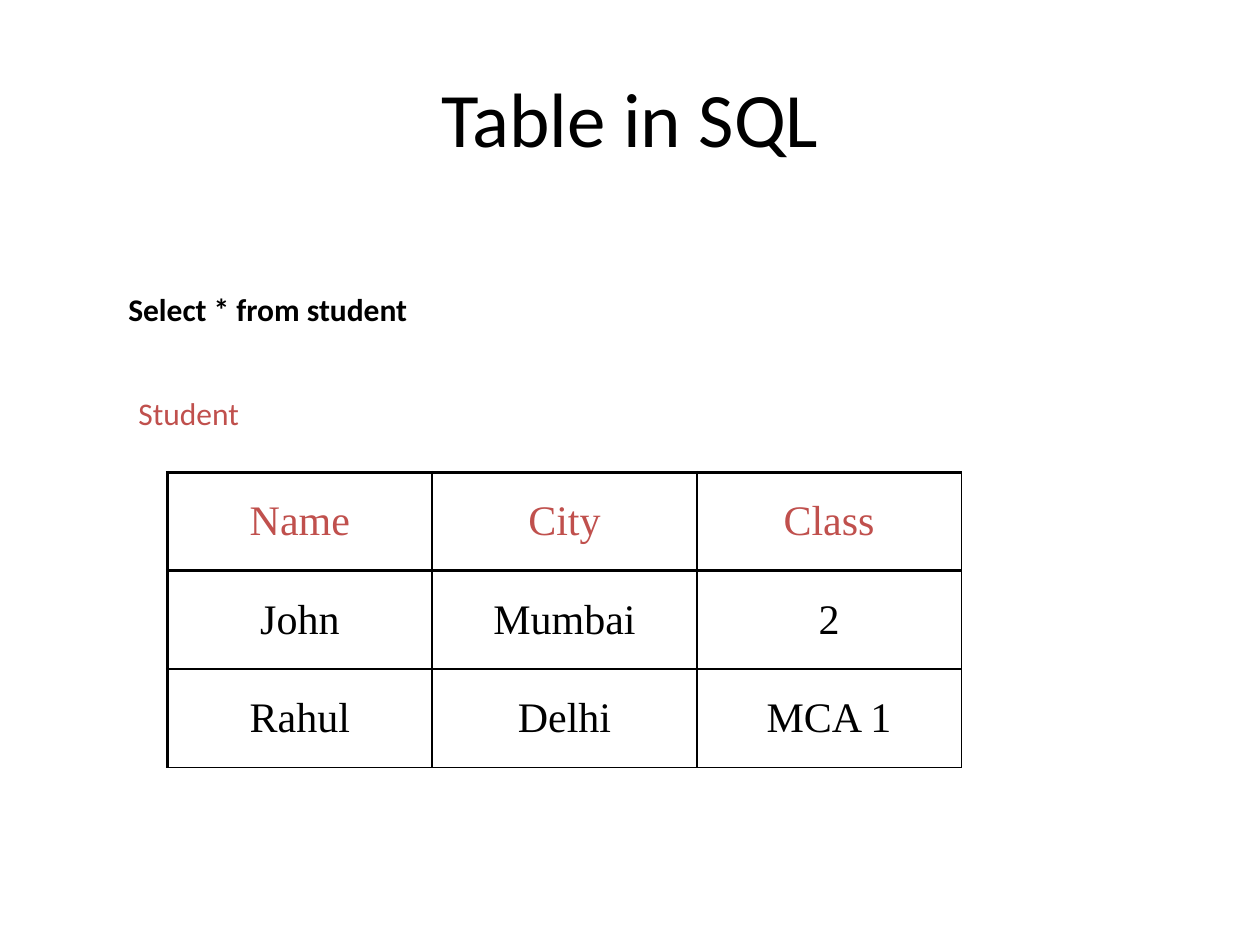
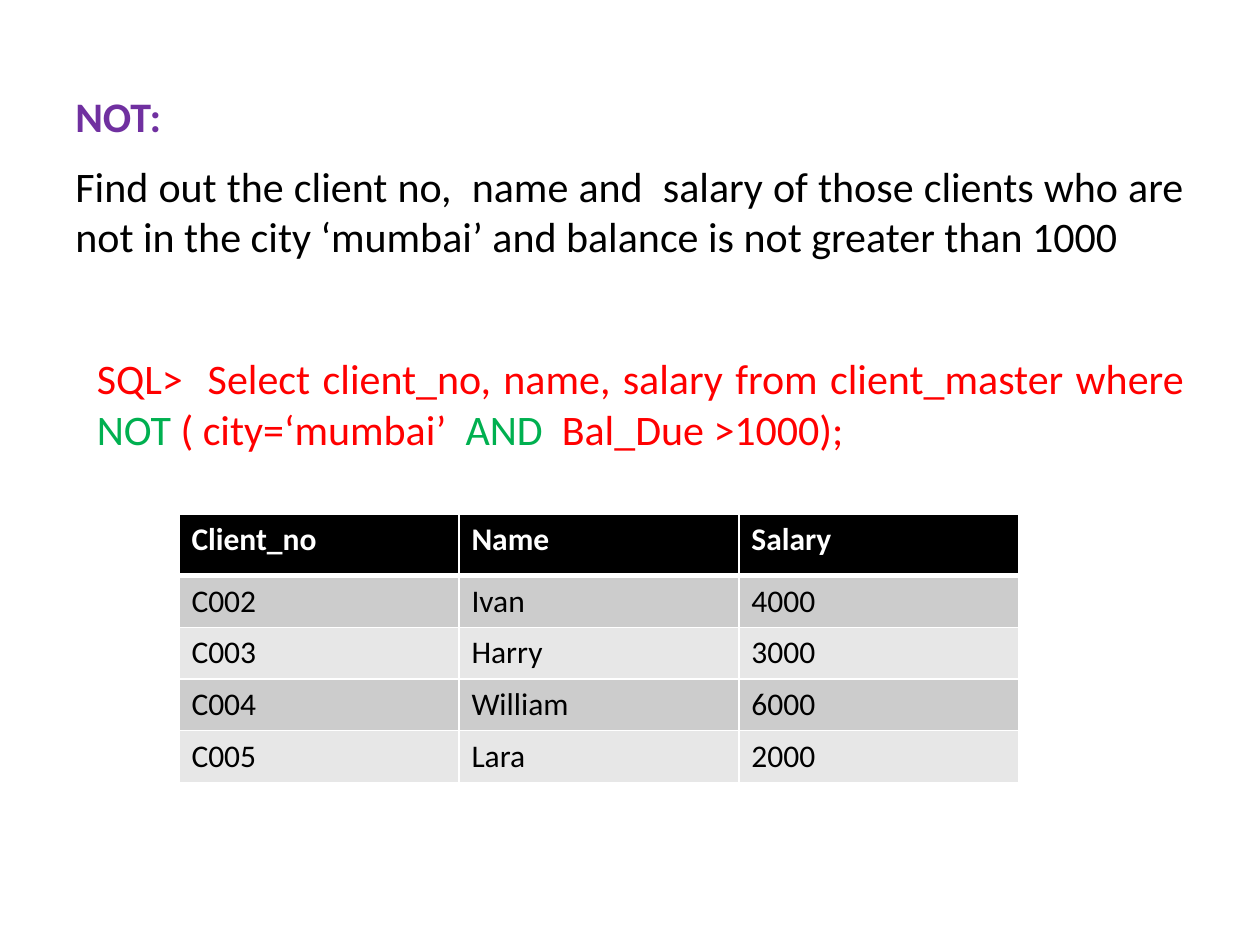
from lxml import etree
from pptx import Presentation, util as u
from pptx.dml.color import RGBColor
from pptx.enum import text as t
from pptx.oxml import ns

WIDTH, HEIGHT = 10, 7.5
BODY, SERIF = "Calibri", "Times New Roman"
BLACK, WHITE, BRICK, PURPLE = "000000", "FFFFFF", "C0504D", "7030A0"
RED, GREEN = "FF0000", "00B050"
BANDS = ("CCCCCC", "E7E7E7")

STUDENTS = [
    ("Name", "City", "Class"),
    ("John", "Mumbai", "2"),
    ("Rahul", "Delhi", "MCA 1"),
]
CLIENTS = [
    ("Client_no", "Name", "Salary"),
    ("C002", "Ivan", "4000"),
    ("C003", "Harry", "3000"),
    ("C004", "William", "6000"),
    ("C005", "Lara", "2000"),
]
# Each paragraph is a list of (words, colour, bold) spans.
TITLE = [[("Table in SQL", BLACK, False)]]
TABLE_NAME = [[("Student", BRICK, False)]]
SELECT_ALL = [[("Select * from student", BLACK, True)]]
TASK = [
    [("NOT: ", PURPLE, True)],
    [("Find out the client no,  name and  salary of those clients who are "
      "not in the city ‘mumbai’ and balance is not greater than 1000", BLACK, False)],
]
QUERY = [[
    ("SQL>  Select client_no, name, salary from client_master where ", RED, False),
    ("NOT", GREEN, False),
    (" ( city=‘mumbai’  ", RED, False),
    ("AND  ", GREEN, False),
    ("Bal_Due >1000);", RED, False),
]]


def style(font, size, color, bold=False, name=BODY):
    font.size, font.bold, font.name = u.Pt(size), bold, name
    font.color.rgb = RGBColor.from_string(color)


def add_text(page, place, paragraphs, size, align=t.PP_ALIGN.LEFT,
             anchor=t.MSO_ANCHOR.TOP, gap=0, wrap=True):
    frame = page.shapes.add_textbox(*map(u.Inches, place)).text_frame
    frame.word_wrap, frame.vertical_anchor = wrap, anchor
    for index, spans in enumerate(paragraphs):
        para = frame.add_paragraph() if index else frame.paragraphs[0]
        para.alignment = align
        para.space_before = u.Pt(gap if index else 0)
        for words, color, bold in spans:
            span = para.add_run()
            span.text = words
            style(span.font, size, color, bold)


def set_borders(cell, color, widths):
    """Draw the cell's edges; widths are points for left, right, top, bottom."""
    props = cell._tc.get_or_add_tcPr()
    for side, width in zip("LRTB", widths):
        line = etree.SubElement(props, ns.qn(f"a:ln{side}"), w=str(u.Pt(width)))
        fill = etree.SubElement(line, ns.qn("a:solidFill"))
        etree.SubElement(fill, ns.qn("a:srgbClr"), val=color)


def add_grid(page, left, top, column_width, row_heights, rows, border, size, font,
             head_color, bold_head=False, centred=False, fills=None,
             outer_width=1, head_width=1):
    """Add a table; outer_width is its left and top edge, head_width the line under the head."""
    columns = len(rows[0])
    frame = page.shapes.add_table(
        len(rows), columns, u.Inches(left), u.Inches(top),
        u.Inches(column_width * columns), u.Inches(sum(row_heights)))
    table = frame.table
    table.first_row = table.horz_banding = False
    for column in table.columns:
        column.width = u.Inches(column_width)
    for r, (values, height) in enumerate(zip(rows, row_heights)):
        table.rows[r].height = u.Inches(height)
        above = {0: outer_width, 1: head_width}.get(r, 1)
        below = 1 if r else head_width
        for c, value in enumerate(values):
            cell = table.cell(r, c)
            cell.text = value
            set_borders(cell, border, (1 if c else outer_width, 1, above, below))
            if fills:
                cell.fill.solid()
                cell.fill.fore_color.rgb = RGBColor.from_string(fills[r])
            else:
                cell.fill.background()
            para = cell.text_frame.paragraphs[0]
            if centred:
                para.alignment = t.PP_ALIGN.CENTER
                cell.vertical_anchor = t.MSO_ANCHOR.MIDDLE
            style(para.runs[0].font, size, BLACK if r else head_color,
                  bold_head and r == 0, font)


def build_student_page(page):
    add_text(page, (WIDTH * 0.05, HEIGHT * 0.04, WIDTH * 0.9, 1.25), TITLE, 44,
             t.PP_ALIGN.CENTER, t.MSO_ANCHOR.MIDDLE)
    add_grid(page, 1.33, HEIGHT / 2, 2.1, [0.78] * len(STUDENTS), STUDENTS, BLACK,
             24, SERIF, BRICK, centred=True, outer_width=2.25, head_width=2.25)
    add_text(page, (1, 3.08, 1.01, 0.4), TABLE_NAME, 18, wrap=False)
    add_text(page, (0.92, HEIGHT * 0.3, 4.83, 0.4), SELECT_ALL, 18)


def build_not_page(page):
    justify = t.PP_ALIGN.JUSTIFY
    add_text(page, (WIDTH * 0.05, 0.67, WIDTH * 0.9, 1.46), TASK, 24, justify, gap=11)
    add_text(page, (0.67, 2.75, 8.83, 0.91), QUERY, 24, justify)
    clients = len(CLIENTS) - 1
    fills = [BLACK] + [BANDS[i % len(BANDS)] for i in range(clients)]
    add_grid(page, 1.42, 4.08, WIDTH * 2 / 9, [0.49] + [0.41] * clients, CLIENTS, WHITE,
             18, BODY, WHITE, bold_head=True, fills=fills, head_width=3)


def main():
    deck = Presentation()
    deck.slide_width, deck.slide_height = u.Inches(WIDTH), u.Inches(HEIGHT)
    blank = deck.slide_layouts[6]
    for build in (build_student_page, build_not_page):
        build(deck.slides.add_slide(blank))
    deck.save("out.pptx")


if __name__ == "__main__":
    main()
